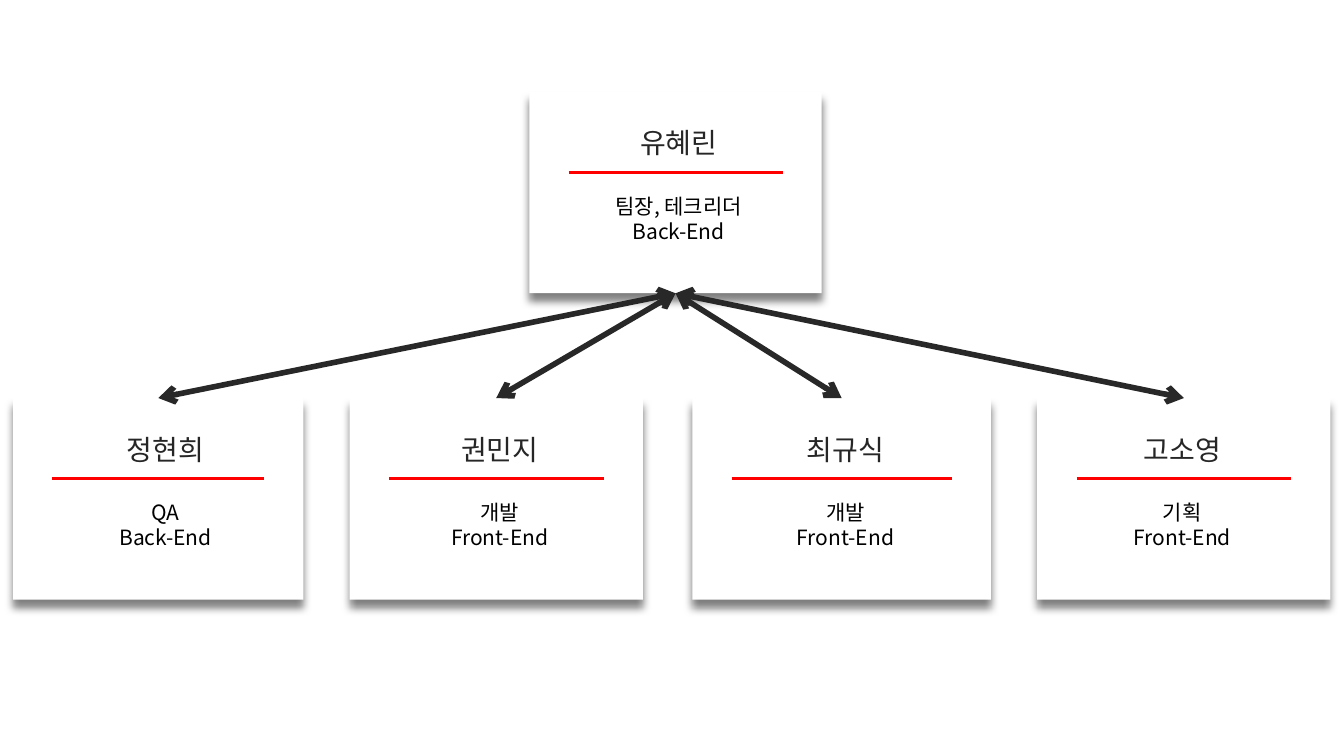
from dataclasses import dataclass

import pptx
import pptx.dml.color
import pptx.enum.shapes
import pptx.enum.text
import pptx.oxml
import pptx.oxml.ns
import pptx.util
from pptx.util import Cm

NS = pptx.oxml.ns.nsdecls("a")


@dataclass(frozen=True)
class Theme:
    font: str = "Noto Sans CJK KR"
    card: str = "FFFFFF"
    name: str = "262626"
    job: str = "000000"
    rule: str = "FF0000"
    arrow: str = "282828"
    name_size: int = 20
    job_size: int = 15
    rule_width: int = 2
    arrow_width: int = 4


THEME = Theme()
CARD_HIGH = 5.08
RULE_INSET = 0.99
ROW_TOP = 10.03

# left, top, width, shift of text from the card's centre, name, job lines
LEAD = (13.34, 2.31, 7.37, 0.08, "유혜린", ["팀장, 테크리더", "Back-End"])
TEAM = [
    (0.33, ROW_TOP, 7.32, 0.18, "정현희", ["QA", "Back-End"]),
    (8.81, ROW_TOP, 7.39, 0.09, "권민지", ["개발", "Front-End"]),
    (17.45, ROW_TOP, 7.52, 0.1, "최규식", ["개발", "Front-End"]),
    (26.14, ROW_TOP, 7.39, -0.04, "고소영", ["기획", "Front-End"]),
]


def rgb(code):
    return pptx.dml.color.RGBColor.from_string(code)


def add_xml(parent, body):
    parent.append(pptx.oxml.parse_xml(body))


def add_line(slide, start, end, color, width):
    """Draw a straight line between two (x, y) points in centimetres."""
    kind = pptx.enum.shapes.MSO_CONNECTOR.STRAIGHT
    line = slide.shapes.add_connector(kind, *map(Cm, start + end))
    line.line.color.rgb = rgb(color)
    line.line.width = pptx.util.Pt(width)
    add_xml(line._element.spPr, f"<a:effectLst {NS}/>")
    return line


def add_text(slide, mid, top, width, height, lines, size, color):
    """Place centred lines in a box whose middle is at mid."""
    box = slide.shapes.add_textbox(Cm(mid - width / 2), Cm(top), Cm(width), Cm(height))
    frame = box.text_frame
    frame.word_wrap = True
    for i, text in enumerate(lines):
        para = frame.add_paragraph() if i else frame.paragraphs[0]
        para.alignment = pptx.enum.text.PP_ALIGN.CENTER
        run = para.add_run()
        run.text = text
        run.font.size = pptx.util.Pt(size)
        run.font.color.rgb = rgb(color)
        run.font.name = THEME.font
        add_xml(run.font._element, f'<a:ea {NS} typeface="{THEME.font}"/>')


def add_shadow(shape):
    shape.shadow.inherit = False
    effects = shape._element.spPr.find(pptx.oxml.ns.qn("a:effectLst"))
    size = pptx.util.Pt(6)
    add_xml(effects, f'<a:outerShdw {NS} blurRad="{size}" dist="{size}" dir="5400000" '
            'algn="ctr" rotWithShape="0"><a:srgbClr val="000000">'
            '<a:alpha val="50000"/></a:srgbClr></a:outerShdw>')


def add_card(slide, left, top, width, shift, name, job):
    kind = pptx.enum.shapes.MSO_SHAPE.RECTANGLE
    card = slide.shapes.add_shape(kind, Cm(left), Cm(top), Cm(width), Cm(CARD_HIGH))
    card.fill.solid()
    card.fill.fore_color.rgb = rgb(THEME.card)
    card.line.fill.background()
    add_shadow(card)

    level = top + 2.03
    add_line(slide, (left + RULE_INSET, level), (left + width - RULE_INSET, level),
             THEME.rule, THEME.rule_width)
    mid = left + width / 2 + shift
    add_text(slide, mid, top + 0.74, 5.59, 1.12, [name], THEME.name_size, THEME.name)
    add_text(slide, mid, top + 2.44, 4.78, 1.55, job, THEME.job_size, THEME.job)
    return card


def add_arrow(slide, card, lead):
    """Join the top of a card to the bottom of the lead's card."""
    arrow = add_line(slide, (0, 0), (1, 1), THEME.arrow, THEME.arrow_width)
    arrow.begin_connect(card, 0)
    arrow.end_connect(lead, 2)
    for end in ("headEnd", "tailEnd"):
        add_xml(arrow.line._get_or_add_ln(), f'<a:{end} {NS} type="arrow"/>')


def main():
    deck = pptx.Presentation()
    deck.slide_width, deck.slide_height = Cm(33.87), Cm(19.05)
    slide = deck.slides.add_slide(deck.slide_layouts[6])
    lead = add_card(slide, *LEAD)
    cards = [add_card(slide, *person) for person in TEAM]
    for card in cards:
        add_arrow(slide, card, lead)
    deck.save("out.pptx")


if __name__ == "__main__":
    main()
